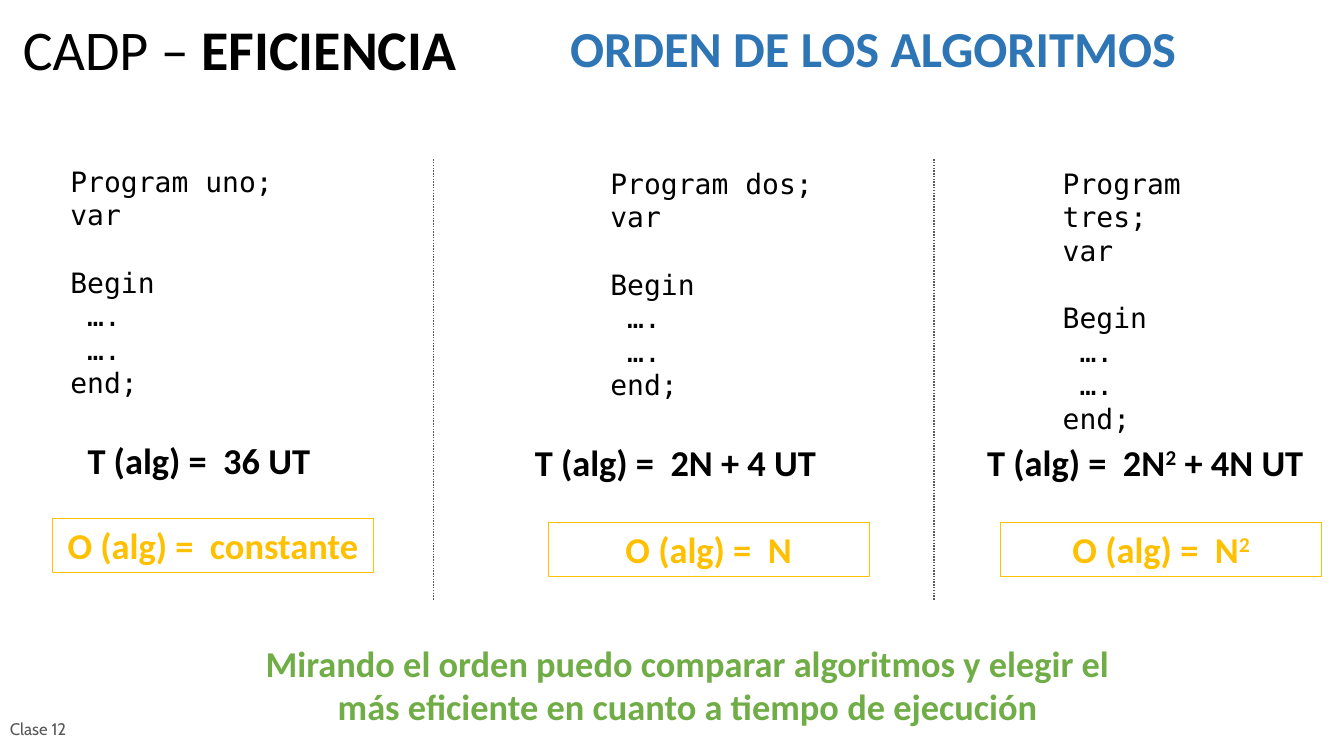
from dataclasses import dataclass

from lxml import etree
from pptx import Presentation
from pptx.dml.color import RGBColor
from pptx.enum.dml import MSO_LINE
from pptx.enum.shapes import MSO_CONNECTOR, MSO_SHAPE
from pptx.enum.text import MSO_ANCHOR, PP_ALIGN
from pptx.oxml.ns import qn
from pptx.util import Inches, Pt

LEFT, CENTER, JUSTIFY = PP_ALIGN.LEFT, PP_ALIGN.CENTER, PP_ALIGN.JUSTIFY
TOP, MIDDLE = MSO_ANCHOR.TOP, MSO_ANCHOR.MIDDLE
RECTANGLE, STRAIGHT = MSO_SHAPE.RECTANGLE, MSO_CONNECTOR.STRAIGHT
DOTTED = MSO_LINE.ROUND_DOT  # written as sysDot


@dataclass(frozen=True)
class Theme:
    body: str = "Calibri"
    code: str = "DejaVu Sans Mono"
    footer: str = "Cabin"
    black: str = "000000"
    gray: str = "595959"
    blue: str = "2E75B6"
    gold: str = "FFC000"
    green: str = "70AD47"
    title_size: int = 40
    topic_size: int = 36
    formula_size: int = 26
    code_size: int = 20
    code_gap: int = 24
    footer_size: int = 12


class SlideBuilder:
    def __init__(self, slide, theme):
        self.shapes = slide.shapes
        self.theme = theme

    def add_run(self, paragraph, text, size, color, font=None, bold=True, superscript=False):
        run = paragraph.add_run()
        run.text = text
        run.font.name = font or self.theme.body
        run.font.size = Pt(size)
        run.font.bold = bold
        run.font.color.rgb = RGBColor.from_string(color)
        if superscript:
            run.font._element.set("baseline", "30000")

    def prepare(self, shape, align, anchor=TOP):
        """Set up the text frame and return its first paragraph."""
        frame = shape.text_frame
        frame.word_wrap = True
        frame.vertical_anchor = anchor
        frame.paragraphs[0].alignment = align
        return frame.paragraphs[0]

    def text(self, area, align=LEFT, anchor=TOP):
        box = self.shapes.add_textbox(*map(Inches, area))
        return self.prepare(box, align, anchor)

    def formula(self, paragraph, parts, color):
        """Write the parts in turn; every second one is an exponent."""
        for index, part in enumerate(parts):
            self.add_run(paragraph, part, self.theme.formula_size, color,
                         superscript=index % 2 == 1)

    def code(self, area, lines):
        paragraph = self.text(area, JUSTIFY)
        frame = paragraph._parent
        for index, line in enumerate(lines):
            if index:
                paragraph = frame.add_paragraph()
                paragraph.alignment = JUSTIFY
            if line == "Begin":
                paragraph.space_before = Pt(self.theme.code_gap)
            self.add_run(paragraph, line, self.theme.code_size, self.theme.black,
                         self.theme.code, bold=False)

    def order_box(self, area, parts):
        box = self.shapes.add_shape(RECTANGLE, *map(Inches, area))
        box.shadow.inherit = False
        box.fill.background()
        box.line.color.rgb = RGBColor.from_string(self.theme.gold)
        box.line.width = Pt(0.5)
        self.formula(self.prepare(box, CENTER), parts, self.theme.gold)

    def divider(self, x, top, bottom):
        line = self.shapes.add_connector(STRAIGHT, *map(Inches, (x, top, x, bottom)))
        line.line.color.rgb = RGBColor.from_string(self.theme.gray)
        line.line.width = Pt(1)
        line.line.dash_style = DOTTED
        etree.SubElement(line._element.spPr, qn("a:effectLst"))


@dataclass(frozen=True)
class Algorithm:
    name: str
    time: tuple
    order: tuple
    code_at: tuple
    time_at: tuple
    order_at: tuple
    time_width: float


ALGORITHMS = (
    Algorithm("uno", ("T (alg) =  36 UT",), ("O (alg) =  constante",),
              (0.6, 1.58), (0.77, 4.3), (0.52, 5.14), 2.52),
    Algorithm("dos", ("T (alg) =  2N + 4 UT",), ("O (alg) =  N",),
              (5.96, 1.6), (5.21, 4.32), (5.44, 5.18), 3.38),
    Algorithm("tres", ("T (alg) =  2N", "2", " + 4N UT"), ("O (alg) =  N", "2"),
              (10.45, 1.6), (9.7, 4.32), (9.93, 5.18), 3.38),
)


def main():
    theme = Theme()
    presentation = Presentation()
    presentation.slide_width = Inches(13.34)
    presentation.slide_height = Inches(7.5)
    builder = SlideBuilder(
        presentation.slides.add_slide(presentation.slide_layouts[6]), theme)

    # Heading
    title = builder.text((0.13, 0.14, 5.4, 0.76), anchor=MIDDLE)
    title.line_spacing = 0.9
    builder.add_run(title, "CADP – ", theme.title_size, theme.black, bold=False)
    builder.add_run(title, "EFICIENCIA", theme.title_size, theme.black)
    topic = builder.text((5.56, 0.12, 6.54, 0.7), JUSTIFY)
    builder.add_run(topic, "ORDEN DE LOS ALGORITMOS", theme.topic_size, theme.blue)

    # One column per algorithm: code, time and order
    for algorithm in ALGORITHMS:
        builder.code((*algorithm.code_at, 2.28, 2.77),
                     (f"Program {algorithm.name};", "var", "Begin", " ….", " ….", "end;"))
        time = builder.text((*algorithm.time_at, algorithm.time_width, 0.54), JUSTIFY)
        builder.formula(time, algorithm.time, theme.black)
        builder.order_box((*algorithm.order_at, 3.19, 0.54), algorithm.order)

    # Column dividers
    for x in (4.3, 9.27):
        builder.divider(x, 1.58, 5.95)

    # Conclusion and footer
    conclusion = builder.text((2.26, 6.31, 9.14, 0.97), CENTER)
    builder.add_run(conclusion, "Mirando el orden puedo comparar algoritmos y elegir el "
                    "más eficiente en cuanto a tiempo de ejecución",
                    theme.formula_size, theme.green)
    lesson = builder.text((0, 7.02, 1.07, 0.43), anchor=MIDDLE)
    builder.add_run(lesson, "Clase 12", theme.footer_size, theme.gray, theme.footer, bold=False)

    presentation.save("out.pptx")


if __name__ == "__main__":
    main()
